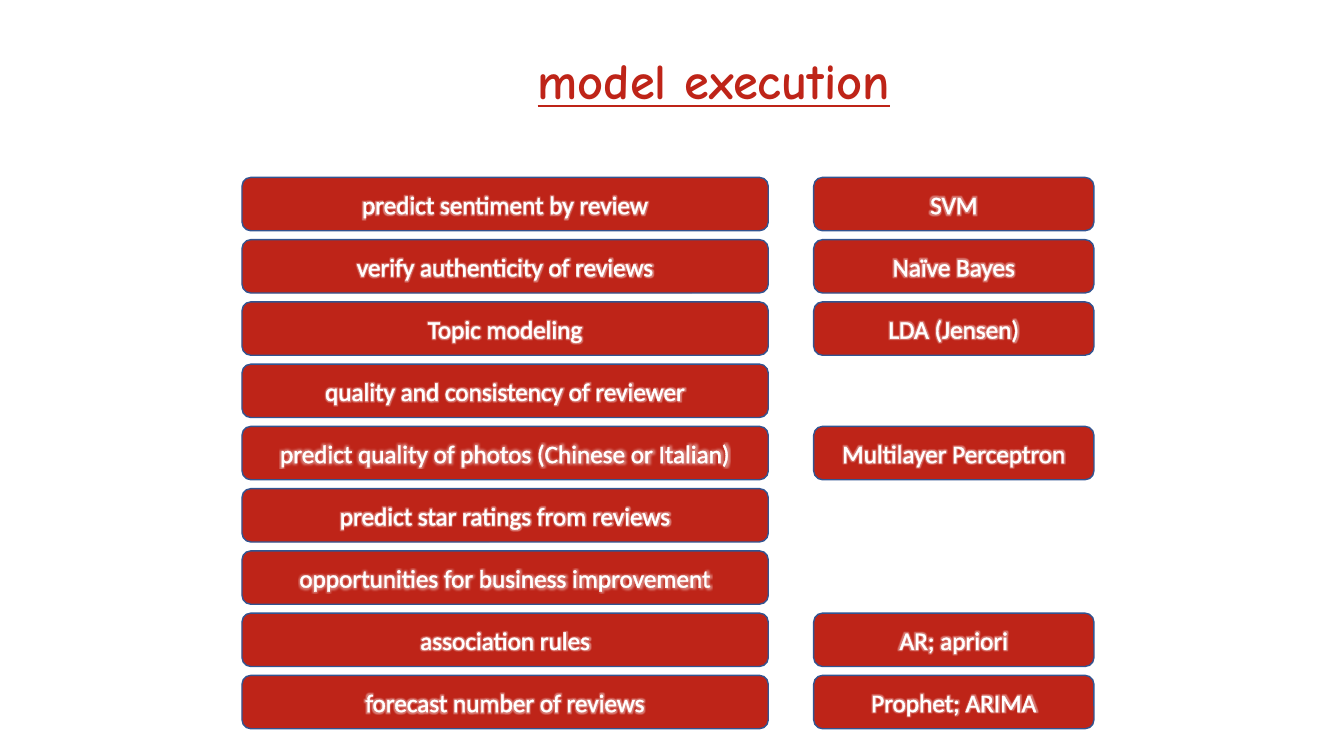
from lxml.etree import SubElement
from pptx import Presentation
from pptx.dml.color import RGBColor
from pptx.enum.shapes import MSO_SHAPE
from pptx.enum.text import MSO_ANCHOR, PP_ALIGN
from pptx.oxml.ns import qn
from pptx.util import Inches, Pt

RED, NAVY, WHITE = "BE2418", "325491", "FFFFFF"
TASKS = [
    ("predict sentiment by review", "SVM"),
    ("verify authenticity of reviews", "Naïve Bayes"),
    ("Topic modeling", "LDA (Jensen)"),
    ("quality and consistency of reviewer", None),
    ("predict quality of photos (Chinese or Italian)", "Multilayer Perceptron"),
    ("predict star ratings from reviews", None),
    ("opportunities for business improvement", None),
    ("association rules", "AR; apriori"),
    ("forecast number of reviews", "Prophet; ARIMA"),
]
TITLE_BOX = (0.92, 0.4, 12.32, 0.85)
TASK_BOX = (2.4, 1.76, 5.22, 5.47)
MODEL_BOX = (8.07, 1.76, 2.78, 5.47)
BAR_HEIGHT = 0.53


def color(value):
    return RGBColor.from_string(value)


def add_solid(parent, value, alpha=None):
    clr = SubElement(parent, qn("a:srgbClr"), val=value)
    if alpha:
        SubElement(clr, qn("a:alpha"), val=str(alpha * 1000))


def add_glow(r, value, radius, alpha):
    rPr = r._r.get_or_add_rPr()
    ln = SubElement(rPr, qn("a:ln"), w=str(Pt(0.5)))
    add_solid(SubElement(ln, qn("a:solidFill")), value)
    effects = SubElement(rPr, qn("a:effectLst"))
    add_solid(SubElement(effects, qn("a:glow"), rad=str(Pt(radius))), value, alpha)
    rPr.insert(0, ln)
    rPr.find(qn("a:solidFill")).addnext(effects)


def write(s, text, font="Calibri", size=18, fill=WHITE, bold=False,
          underline=False, spacing=None, glow=False):
    tf = s.text_frame
    tf.word_wrap = True
    tf.vertical_anchor = MSO_ANCHOR.MIDDLE
    p = tf.paragraphs[0]
    p.alignment = PP_ALIGN.CENTER
    p.line_spacing = spacing
    r = p.add_run()
    r.text = text
    r.font.name = font
    r.font.size = Pt(size)
    r.font.bold = bold
    r.font.underline = underline
    r.font.color.rgb = color(fill)
    if glow:
        add_glow(r, fill, radius=5, alpha=40)


def add_title(sp, box, text):
    s = sp.add_textbox(*map(Inches, box))
    write(s, text, font="Comic Neue", size=36, fill=RED, bold=True,
          underline=True, spacing=0.9)


def add_bar_column(sp, box, labels):
    left, top, width, height = box
    pitch = (height - BAR_HEIGHT) / (len(labels) - 1)
    for row, label in enumerate(labels):
        if label is None:
            continue
        s = sp.add_shape(MSO_SHAPE.ROUNDED_RECTANGLE, Inches(left),
                         Inches(top + row * pitch), Inches(width), Inches(BAR_HEIGHT))
        s.shadow.inherit = False
        s.fill.solid()
        s.fill.fore_color.rgb = color(RED)
        s.line.color.rgb = color(NAVY)
        s.line.width = Pt(1)
        write(s, label, glow=True)


def main():
    prs = Presentation()
    prs.slide_width, prs.slide_height = Inches(13.33), Inches(7.5)
    sp = prs.slides.add_slide(prs.slide_layouts[6]).shapes
    tasks, models = zip(*TASKS)
    add_title(sp, TITLE_BOX, "model execution")
    add_bar_column(sp, TASK_BOX, tasks)
    add_bar_column(sp, MODEL_BOX, models)
    prs.save("out.pptx")


if __name__ == "__main__":
    main()
